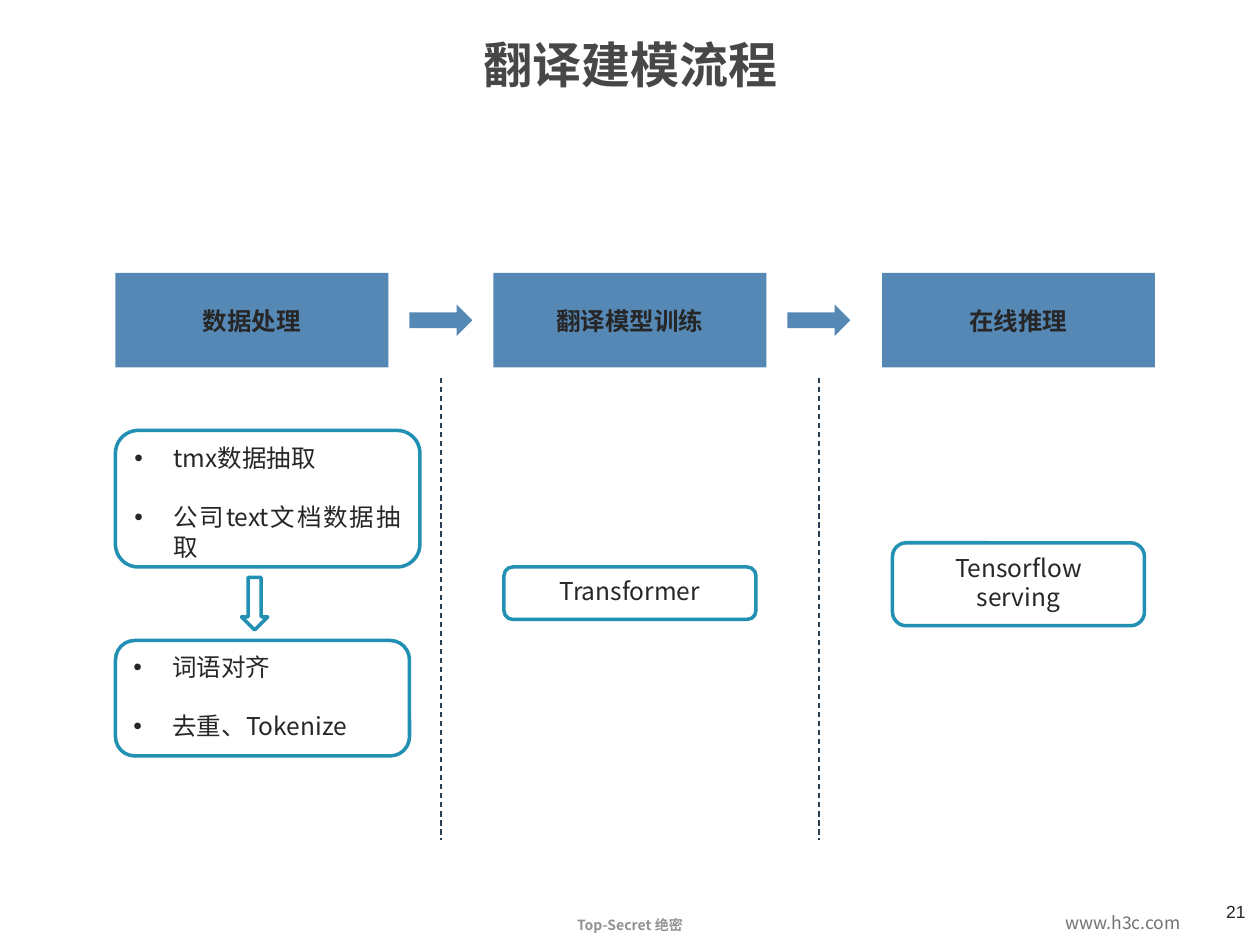
from lxml import etree
from pptx import Presentation
from pptx.dml.color import RGBColor
from pptx.enum.dml import MSO_LINE
from pptx.enum.shapes import MSO_CONNECTOR, MSO_SHAPE
from pptx.enum.text import MSO_ANCHOR, PP_ALIGN
from pptx.oxml.ns import qn
from pptx.util import Pt

SCALE = 914400 // 120
FONT = "Noto Sans CJK SC"
COLORS = {
    "stage": "5688B6",
    "outline": "2290B3",
    "card": "FFFFFF",
    "divider": "2A4054",
    "text": "262626",
    "title": "474747",
    "secret": "929292",
    "site": "727272",
}


def px(value):
    return value * SCALE


def color(name):
    return RGBColor.from_string(COLORS[name])


def add_bullet(paragraph):
    properties = paragraph._p.get_or_add_pPr()
    properties.set("marL", str(px(37)))
    properties.set("indent", str(px(-37)))
    etree.SubElement(properties, qn("a:buFont")).set("typeface", "Arial")
    etree.SubElement(properties, qn("a:buChar")).set("char", "•")


def write_text(shape, text, size=14, font=FONT, ink="text", bold=False, align=PP_ALIGN.CENTER,
               anchor=MSO_ANCHOR.MIDDLE, wrap=True, bullets=False, gap=0, insets=(12, 6, 12, 6)):
    frame = shape.text_frame
    frame.word_wrap = wrap
    frame.vertical_anchor = anchor
    frame.margin_left, frame.margin_top, frame.margin_right, frame.margin_bottom = map(px, insets)
    for index, line in enumerate(text.split("\n")):
        paragraph = frame.paragraphs[0] if index == 0 else frame.add_paragraph()
        paragraph.alignment = align
        if index and gap:
            paragraph.space_before = Pt(gap)
        if bullets:
            add_bullet(paragraph)
        run = paragraph.add_run()
        run.text = line
        run.font.size = Pt(size)
        run.font.bold = bold
        run.font.name = font
        run.font.color.rgb = color(ink)
        etree.SubElement(run._r.get_or_add_rPr(), qn("a:ea")).set("typeface", font)


def add_text(slide, box, text, **format):
    write_text(slide.shapes.add_textbox(*map(px, box)), text, **format)


def add_block(slide, kind, box, fill, outline=None):
    shape = slide.shapes.add_shape(kind, *map(px, box))
    shape.shadow.inherit = False
    shape.fill.solid()
    shape.fill.fore_color.rgb = color(fill)
    if outline:
        shape.line.color.rgb = color(outline)
        shape.line.width = Pt(2)
    else:
        shape.line.fill.background()
    return shape


def add_stage(slide, box, name):
    write_text(add_block(slide, MSO_SHAPE.RECTANGLE, box, "stage"), name, bold=True)


def add_card(slide, box, text, **format):
    card = add_block(slide, MSO_SHAPE.ROUNDED_RECTANGLE, box, "card", "outline")
    write_text(card, text, anchor=MSO_ANCHOR.TOP, **format)


def add_list_card(slide, box, text):
    add_card(slide, box, text, align=PP_ALIGN.JUSTIFY, bullets=True, gap=16.8)


def add_transition(slide, box):
    left, top, width, height = box
    add_block(slide, MSO_SHAPE.RIGHT_ARROW, (left, top, width, 30), "stage")
    middle = left + width // 2
    divider = slide.shapes.add_connector(
        MSO_CONNECTOR.STRAIGHT, px(middle), px(top + 70), px(middle), px(top + height))
    divider.line.color.rgb = color("divider")
    divider.line.width = Pt(0.75)
    divider.line.dash_style = MSO_LINE.DASH
    etree.SubElement(divider._element.spPr, qn("a:effectLst"))


def add_data_steps(slide, box):
    left, top, width, height = box
    add_list_card(slide, (left, top, width, 130), "tmx数据抽取\n公司text文档数据抽取")
    add_list_card(slide, (left, top + height - 110, width - 10, 110), "词语对齐\n去重、Tokenize")
    add_block(slide, MSO_SHAPE.DOWN_ARROW, (left + 120, top + 140, 25, 50), "card", "outline")


def add_footer(slide, box):
    left, top, width, height = box
    add_text(slide, (left + 484, top + 14, 232, 29), "Top-Secret 绝密", size=8, ink="secret", bold=True)
    add_text(slide, (left + 1003, top + 11, 136, 32), "www.h3c.com", size=10, ink="site",
             align=PP_ALIGN.LEFT, wrap=False)
    add_text(slide, (left + width - 44, top, 44, 32), "21", size=10, font="Arial",
             align=PP_ALIGN.LEFT, anchor=MSO_ANCHOR.TOP, wrap=False)


def main():
    presentation = Presentation()
    presentation.slide_width, presentation.slide_height = px(1200), px(900)
    slide = presentation.slides.add_slide(presentation.slide_layouts[6])

    add_footer(slide, (0, 852, 1200, 48))
    add_text(slide, (195, 30, 810, 59), "翻译建模流程", size=28, ink="title", bold=True,
             anchor=MSO_ANCHOR.TOP, insets=(1, 3, 0, 0))
    for left, name in ((110, "数据处理"), (470, "翻译模型训练"), (840, "在线推理")):
        add_stage(slide, (left, 260, 260, 90), name)
    for left in (390, 750):
        add_transition(slide, (left, 290, 60, 510))
    add_data_steps(slide, (110, 410, 290, 310))
    add_card(slide, (480, 540, 240, 50), "Transformer")
    add_card(slide, (850, 517, 240, 79), "Tensorflow\nserving")

    presentation.save("out.pptx")


if __name__ == "__main__":
    main()
